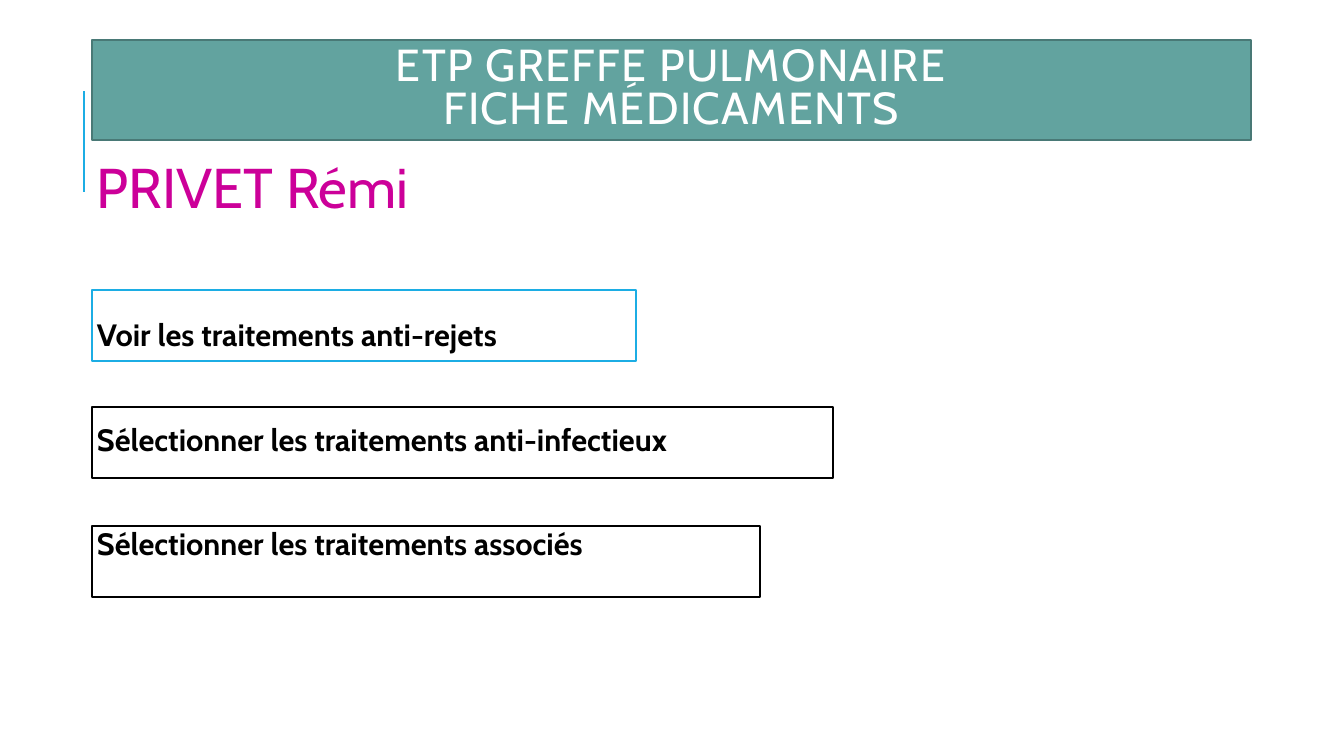
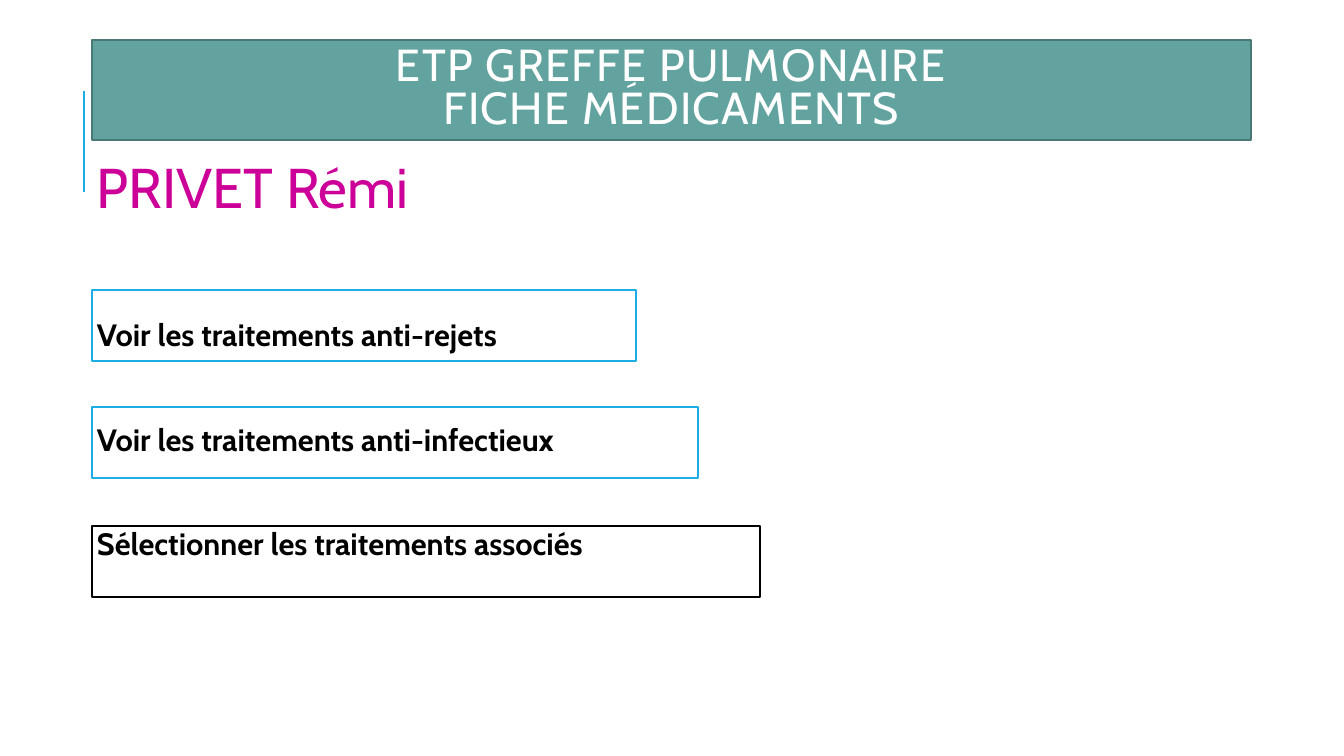
from pptx import Presentation
from pptx.dml.color import RGBColor
from pptx.enum.shapes import MSO_CONNECTOR, MSO_SHAPE
from pptx.enum.text import MSO_ANCHOR, PP_ALIGN
from pptx.oxml.ns import qn
from pptx.util import Pt
from lxml import etree

RECTANGLE = MSO_SHAPE.RECTANGLE
STRAIGHT = MSO_CONNECTOR.STRAIGHT
MIDDLE = MSO_ANCHOR.MIDDLE
CENTER = PP_ALIGN.CENTER

WHITE = RGBColor(0xFF, 0xFF, 0xFF)
BLACK = RGBColor(0x00, 0x00, 0x00)
BLUE = RGBColor(0x1C, 0xAD, 0xE4)
TEAL = RGBColor(0x62, 0xA3, 0x9F)
DARK_TEAL = RGBColor(0x49, 0x79, 0x76)
MAGENTA = RGBColor(0xCC, 0x00, 0x99)

FONT = "Cabin"
PX = 12192000 / 1344
LEFT, CONTENT_WIDTH = 92, 1159
STEP_TOPS = (290, 407, 526)
STEP_HEIGHT = 71
INSET = 5

TITLE = "ETP GREFFE PULMONAIRE\vFICHE MÉDICAMENTS"
PATIENT = "PRIVET Rémi"

# Each step: label, frame width, frame colour
ANTI_REJECTION = ("Voir les traitements anti-rejets", 544, BLUE)
ASSOCIATED = ("Sélectionner les traitements associés", 668, BLACK)
SLIDES = [
    [ANTI_REJECTION, ("Sélectionner les traitements anti-infectieux", 741, BLACK), ASSOCIATED],
    [ANTI_REJECTION, ("Voir les traitements anti-infectieux", 606, BLUE), ASSOCIATED],
]


def px(*lengths):
    return [round(length * PX) for length in lengths]


def add_frame(slide, bounds, fill, line):
    frame = slide.shapes.add_shape(RECTANGLE, *px(*bounds))
    frame.shadow.inherit = False
    frame.fill.solid()
    frame.fill.fore_color.rgb = fill
    frame.line.color.rgb = line
    frame.line.width = Pt(1.25)
    return frame


prs = Presentation()
prs.slide_width, prs.slide_height = px(1344, 756)

for steps in SLIDES:
    slide = prs.slides.add_slide(prs.slide_layouts[6])

    # Accent line
    accent = slide.shapes.add_connector(STRAIGHT, *px(84, 192, 84, 91))
    accent.line.color.rgb = BLUE
    accent.line.width = Pt(1.5)
    etree.SubElement(accent.element.spPr, qn("a:effectLst"))

    # Step frames
    for top, (label, width, colour) in zip(STEP_TOPS, steps):
        add_frame(slide, (LEFT, top, width, STEP_HEIGHT), WHITE, colour)

    # Title band
    band = add_frame(slide, (LEFT, 40, CONTENT_WIDTH, 100), TEAL, DARK_TEAL)
    band.text_frame.text = TITLE
    band.text_frame.vertical_anchor = MIDDLE
    heading = band.text_frame.paragraphs[0]
    heading.alignment = CENTER
    heading.line_spacing = 0.8
    for run in heading.runs:
        run.font.name = FONT
        run.font.size = Pt(32)
        run.font.color.rgb = WHITE
        run.font._element.set("spc", "100")

    # Patient name and step labels
    body = slide.shapes.add_textbox(*px(LEFT, 155, CONTENT_WIDTH, 575)).text_frame
    body.word_wrap = True
    body.margin_left, body.margin_top, body.margin_right, body.margin_bottom = px(*[INSET] * 4)
    body.text = "\n".join([PATIENT] + [label for label, width, colour in steps])
    for paragraph, space_before in zip(body.paragraphs, (12, 69, 49, 49)):
        is_patient = paragraph.text == PATIENT
        paragraph.line_spacing = 0.9
        paragraph.space_before = Pt(space_before)
        paragraph.space_after = Pt(2)
        font = paragraph.runs[0].font
        font.name = FONT
        font.size = Pt(40 if is_patient else 22)
        font.bold = not is_patient
        font.color.rgb = MAGENTA if is_patient else BLACK

prs.save("out.pptx")
